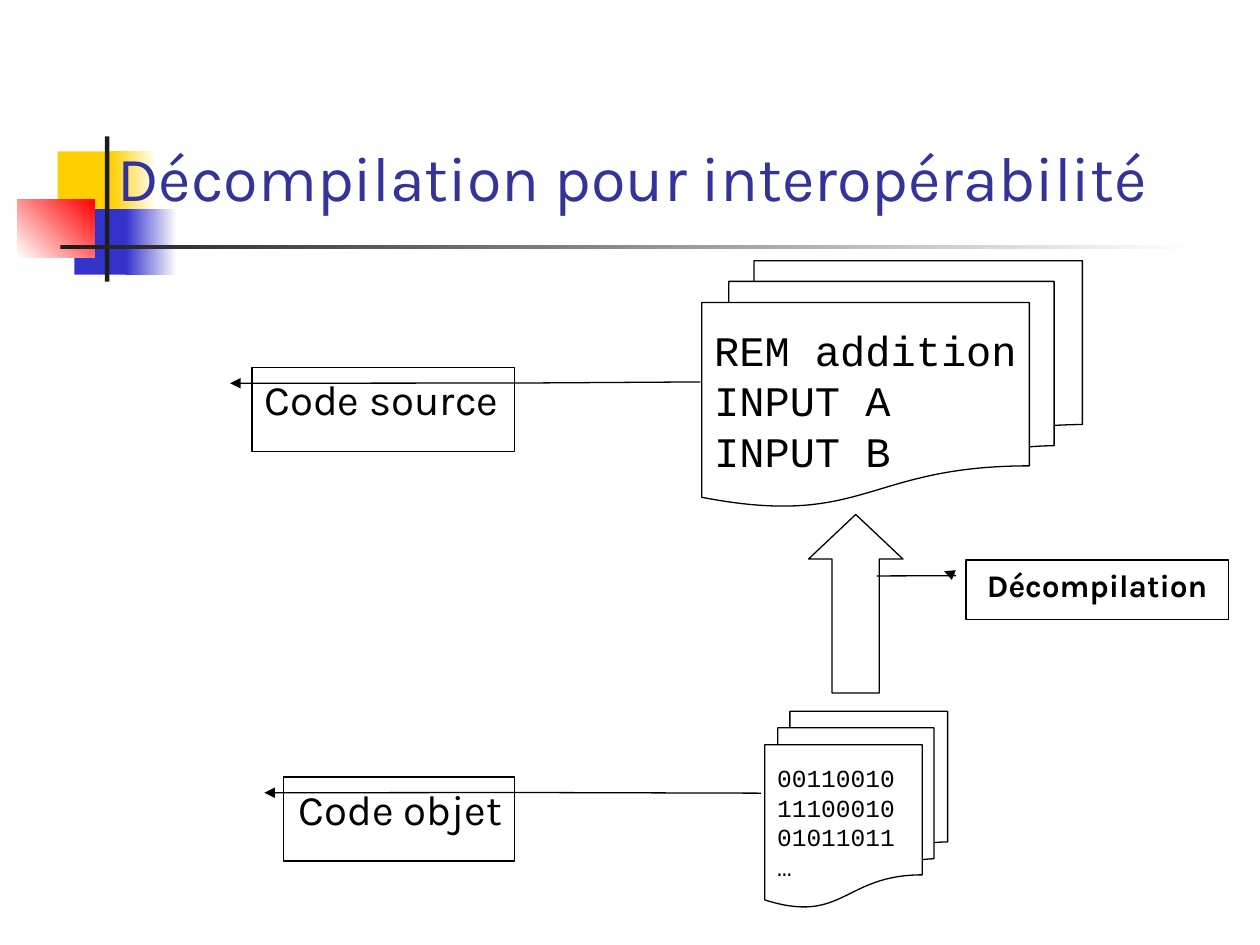
from pptx import Presentation
from pptx.dml.color import RGBColor
from pptx.enum.shapes import MSO_SHAPE
from pptx.enum.text import MSO_ANCHOR, MSO_AUTO_SIZE, PP_ALIGN
from pptx.oxml.ns import qn
from pptx.util import Pt
from lxml.etree import SubElement

BLACK = RGBColor(0x00, 0x00, 0x00)
WHITE = RGBColor(0xFF, 0xFF, 0xFF)
CHARCOAL = RGBColor(0x1C, 0x1C, 0x1C)
YELLOW = RGBColor(0xFF, 0xCF, 0x01)
BLUE = RGBColor(0x33, 0x33, 0xCC)
RED = RGBColor(0xFF, 0x00, 0x00)
TITLE_BLUE = RGBColor(0x33, 0x33, 0x99)
BODY_FONT = "Karla"
CODE_FONT = "Courier New"


def add_preset(slide, preset, box):
    shape = slide.shapes.add_shape(preset, *map(Pt, box))
    shape.shadow.inherit = False
    return shape


def add_decoration(slide, box, start, end=None, angle=0):
    """Borderless rectangle, with a gradient when an end colour is given."""
    block = add_preset(slide, MSO_SHAPE.RECTANGLE, box)
    block.line.fill.background()
    if end is None:
        block.fill.solid()
        block.fill.fore_color.rgb = start
        return
    block.fill.gradient()
    block.fill.gradient_angle = angle
    for stop, color in zip(block.fill.gradient_stops, (start, end)):
        stop.color.rgb = color


def add_outline(slide, preset, box, adjustments=()):
    shape = add_preset(slide, preset, box)
    shape.fill.background()
    shape.line.color.rgb = BLACK
    shape.line.width = Pt(0.75)
    for index, value in enumerate(adjustments):
        shape.adjustments[index] = value
    return shape


def write_lines(frame, lines, size, font, color=BLACK, bold=False,
                align=PP_ALIGN.LEFT):
    for index, line in enumerate(lines):
        paragraph = frame.paragraphs[0] if index == 0 else frame.add_paragraph()
        paragraph.alignment = align
        run = paragraph.add_run()
        run.text = line
        run.font.size = Pt(size)
        run.font.name = font
        run.font.bold = bold
        run.font.color.rgb = color


def add_title(slide, title):
    frame = slide.shapes.add_textbox(Pt(60), Pt(36), Pt(632), Pt(90)).text_frame
    frame.word_wrap = True
    frame.vertical_anchor = MSO_ANCHOR.BOTTOM
    write_lines(frame, [title], 36, BODY_FONT, TITLE_BLUE)


def add_listing(slide, box, lines, size):
    """Stack of documents showing lines of code."""
    frame = add_outline(slide, MSO_SHAPE.FLOWCHART_MULTIDOCUMENT, box).text_frame
    frame.word_wrap = False
    frame.auto_size = MSO_AUTO_SIZE.SHAPE_TO_FIT_TEXT
    frame.vertical_anchor = MSO_ANCHOR.MIDDLE
    write_lines(frame, lines, size, CODE_FONT)


def add_callout(slide, box, label, leader, size=24, bold=False,
                align=PP_ALIGN.LEFT):
    """Bordered label; leader holds the (y, x) fractions of its bend and end."""
    callout = add_outline(slide, MSO_SHAPE.LINE_CALLOUT_2, box,
                          (0.188, -0.083, *leader))
    outline = callout.element.spPr.find(qn("a:ln"))
    SubElement(outline, qn("a:headEnd"), type="triangle")
    frame = callout.text_frame
    frame.word_wrap = True
    frame.vertical_anchor = MSO_ANCHOR.TOP
    write_lines(frame, [label], size, BODY_FONT, bold=bold, align=align)


def add_decorations(slide):
    add_decoration(slide, (33, 86.5, 34.5, 37.5), YELLOW)
    add_decoration(slide, (63.5, 86.5, 26, 37.5), YELLOW, WHITE)
    add_decoration(slide, (42.5, 119.5, 33, 37.5), BLUE)
    add_decoration(slide, (72, 119.5, 29, 37.5), BLUE, WHITE)
    add_decoration(slide, (10, 114, 44, 33), WHITE, RED, angle=45)
    add_decoration(slide, (60, 78, 2.5, 83), CHARCOAL)
    add_decoration(slide, (34.5, 140, 648, 2.5), CHARCOAL, WHITE)


def main():
    deck = Presentation()
    deck.slide_width, deck.slide_height = Pt(720), Pt(540)
    slide = deck.slides.add_slide(deck.slide_layouts[6])

    add_decorations(slide)
    add_title(slide, "Décompilation pour interopérabilité")

    add_listing(slide, (401, 149, 217.5, 140.5),
                ["REM addition", "INPUT A", "INPUT B"], 24)
    add_listing(slide, (437, 406.5, 104.5, 112),
                ["00110010", "11100010", "01011011", "…"], 14)
    add_outline(slide, MSO_SHAPE.UP_ARROW, (462, 294, 54, 102), (0.5, 0.472))

    add_callout(slide, (162, 444, 132, 48), "Code objet",
                (0.185, 1.045, 0.193, 2.066), align=PP_ALIGN.RIGHT)
    add_callout(slide, (552, 320, 150, 34), "Décompilation",
                (0.265, -0.04, 0.268, -0.339), size=18, bold=True,
                align=PP_ALIGN.CENTER)
    add_callout(slide, (144, 210, 150, 48), "Code source",
                (0.185, 1.04, 0.172, 1.708))

    deck.save("out.pptx")


if __name__ == "__main__":
    main()
